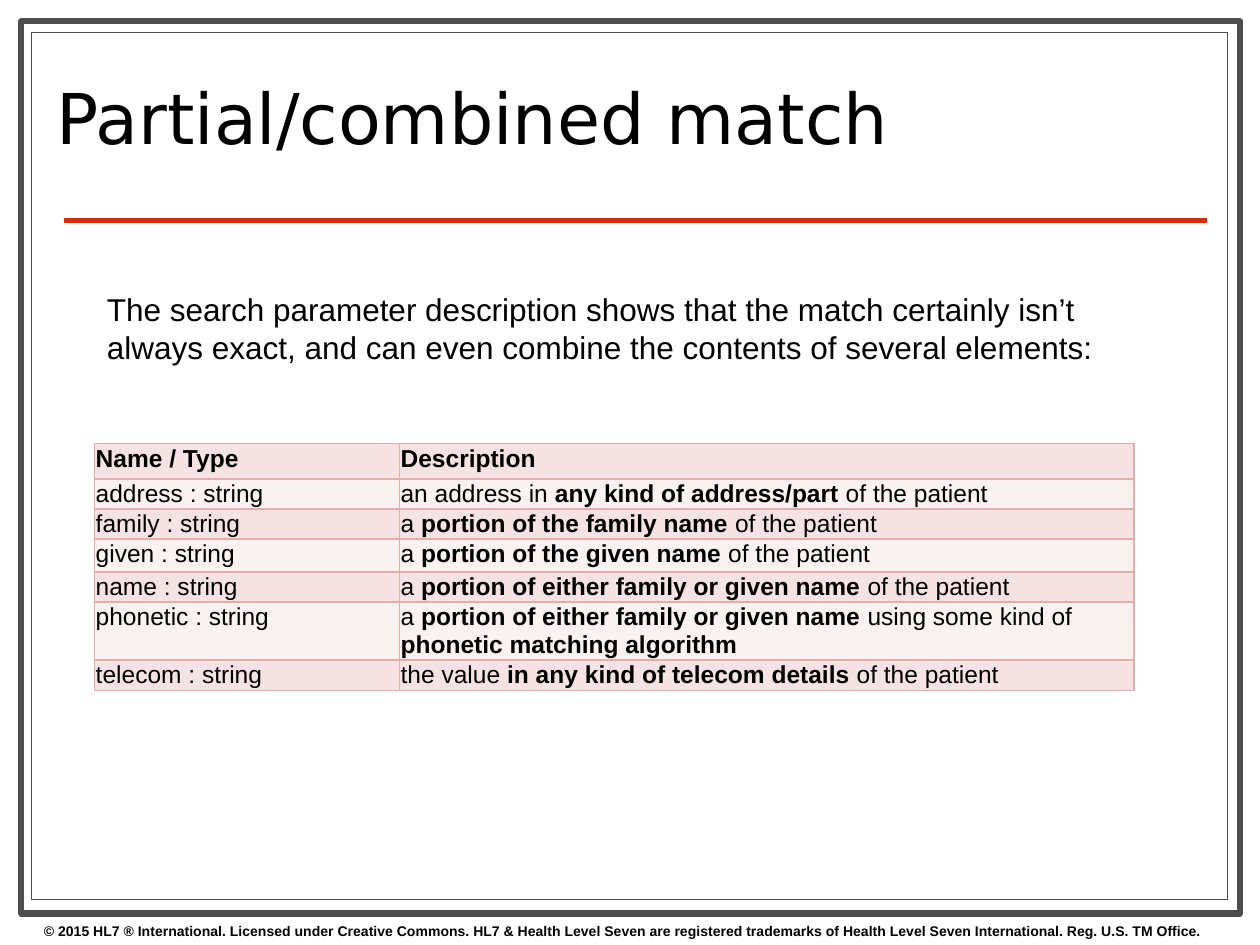
from dataclasses import dataclass

from lxml import etree
from pptx import Presentation
from pptx.dml.color import RGBColor
from pptx.enum.shapes import MSO_CONNECTOR, MSO_SHAPE
from pptx.enum.text import MSO_ANCHOR, MSO_AUTO_SIZE, PP_ALIGN
from pptx.oxml.ns import qn
from pptx.util import Inches, Pt

RECTANGLE = MSO_SHAPE.RECTANGLE
STRAIGHT = MSO_CONNECTOR.STRAIGHT
LEFT = PP_ALIGN.LEFT
TOP, MIDDLE = MSO_ANCHOR.TOP, MSO_ANCHOR.MIDDLE
GROW, FIXED = MSO_AUTO_SIZE.SHAPE_TO_FIT_TEXT, MSO_AUTO_SIZE.NONE

COLORS = {
    "paper": "FFFFFF",
    "ink": "000000",
    "frame": "4D4D4D",
    "accent": "CC3300",
    "grid": "E2ADAA",
    "band_dark": "F4E3E2",
    "band_light": "FAF1F1",
}
SLIDE_WIDTH, SLIDE_HEIGHT = 10, 7.5
TABLE_LEFT, TABLE_TOP = 0.75, 3.52
COLUMN_WIDTHS = (2.42, 5.83)
CELL_INSET = 0.01
BOLD_MARK = "**"
PATIENT = " of the patient"
COPYRIGHT = (
    "© 2015 HL7 ® International. Licensed under Creative Commons. "
    "HL7 & Health Level Seven are registered trademarks of "
    "Health Level Seven International. Reg. U.S. TM Office."
)
INTRODUCTION = (
    "The search parameter description shows that the match certainly isn’t "
    "always exact, and can even combine the contents of several elements:"
)


@dataclass(frozen=True)
class Box:
    left: float
    top: float
    width: float
    height: float

    def emu(self) -> tuple:
        return tuple(Inches(v) for v in (self.left, self.top, self.width, self.height))


@dataclass(frozen=True)
class Frame:
    box: Box
    weight: float


@dataclass(frozen=True)
class Parameter:
    name: str
    description: str
    height: float = 0.24


FRAMES = (
    Frame(Box(0.17, 0.17, 9.67, 7.08), 3.5),
    Frame(Box(0.25, 0.26, 9.49, 6.88), 0.75),
)
PARAMETERS = (
    Parameter("**Name / Type**", "**Description**", 0.28),
    Parameter("address : string", "an address in **any kind of address/part**" + PATIENT),
    Parameter("family : string", "a **portion of the family name**" + PATIENT),
    Parameter("given : string", "a **portion of the given name**" + PATIENT, 0.26),
    Parameter("name : string", "a **portion of either family or given name**" + PATIENT),
    Parameter(
        "phonetic : string",
        "a **portion of either family or given name** using some kind of "
        "**phonetic matching algorithm**",
        0.46,
    ),
    Parameter("telecom : string", "the value **in any kind of telecom details**" + PATIENT),
)


def rgb(key: str) -> RGBColor:
    return RGBColor.from_string(COLORS[key])


def write(text_frame, text: str, *, size: float, font: str = "Arial", spacing: float = 1.0) -> None:
    paragraph = text_frame.paragraphs[0]
    paragraph.alignment = LEFT
    paragraph.line_spacing = spacing
    for index, part in enumerate(text.split(BOLD_MARK)):
        if part:
            run = paragraph.add_run()
            run.text = part
            run.font.name = font
            run.font.size = Pt(size)
            run.font.bold = index % 2 == 1
            run.font.color.rgb = rgb("ink")


def add_text(slide, box: Box, text: str, size: float) -> None:
    text_frame = slide.shapes.add_textbox(*box.emu()).text_frame
    text_frame.word_wrap = True
    text_frame.auto_size = GROW
    write(text_frame, text, size=size)


def add_frame(slide, frame: Frame) -> None:
    border = slide.shapes.add_shape(RECTANGLE, *frame.box.emu())
    border.shadow.inherit = False
    border.fill.solid()
    border.fill.fore_color.rgb = rgb("paper")
    border.line.color.rgb = rgb("frame")
    border.line.width = Pt(frame.weight)


def add_rule(slide, left: float, right: float, height: float) -> None:
    rule = slide.shapes.add_connector(
        STRAIGHT, Inches(left), Inches(height), Inches(right), Inches(height)
    )
    rule.line.color.rgb = rgb("accent")
    rule.line.width = Pt(3)
    etree.SubElement(rule._element.spPr, qn("a:effectLst"))


def place_title(slide, box: Box, text: str) -> None:
    title = slide.shapes.title
    slide.shapes._spTree.append(title._element)
    title.left, title.top, title.width, title.height = box.emu()
    title.text_frame.word_wrap = True
    title.text_frame.auto_size = FIXED
    title.text_frame.vertical_anchor = MIDDLE
    write(title.text_frame, text, size=40, font="DejaVu Sans", spacing=0.8)


def outline_cell(cell) -> None:
    properties = cell._tc.get_or_add_tcPr()
    for position, side in enumerate(("lnL", "lnR", "lnT", "lnB")):
        edge = etree.Element(qn(f"a:{side}"), w=str(Pt(1)))
        fill = etree.SubElement(edge, qn("a:solidFill"))
        etree.SubElement(fill, qn("a:srgbClr"), val=COLORS["grid"])
        properties.insert(position, edge)


def fill_cell(cell, text: str, band: str) -> None:
    cell.margin_left = cell.margin_right = Inches(CELL_INSET)
    cell.margin_top = cell.margin_bottom = Inches(CELL_INSET)
    cell.vertical_anchor = TOP
    cell.fill.solid()
    cell.fill.fore_color.rgb = rgb(band)
    outline_cell(cell)
    write(cell.text_frame, text, size=14)


def add_parameters(slide, parameters: tuple[Parameter, ...]) -> None:
    box = Box(TABLE_LEFT, TABLE_TOP, sum(COLUMN_WIDTHS), sum(p.height for p in parameters))
    table = slide.shapes.add_table(len(parameters), len(COLUMN_WIDTHS), *box.emu()).table
    for column, width in zip(table.columns, COLUMN_WIDTHS):
        column.width = Inches(width)
    for index, parameter in enumerate(parameters):
        table.rows[index].height = Inches(parameter.height)
        band = "band_light" if index % 2 else "band_dark"
        for column, text in enumerate((parameter.name, parameter.description)):
            fill_cell(table.cell(index, column), text, band)


def main() -> None:
    presentation = Presentation()
    presentation.slide_width = Inches(SLIDE_WIDTH)
    presentation.slide_height = Inches(SLIDE_HEIGHT)
    slide = presentation.slides.add_slide(presentation.slide_layouts.get_by_name("Title Only"))
    slide.background.fill.solid()
    slide.background.fill.fore_color.rgb = rgb("paper")

    for frame in FRAMES:
        add_frame(slide, frame)
    add_rule(slide, 0.51, 9.58, 1.75)
    add_text(slide, Box(0.25, 7.27, SLIDE_WIDTH, 0.23), BOLD_MARK + COPYRIGHT, 8)
    place_title(slide, Box(0.35, 0.36, 7.17, 1.26), "Partial/combined match")
    add_parameters(slide, PARAMETERS)
    add_text(slide, Box(TABLE_LEFT, 2.25, 8.67, 0.71), INTRODUCTION, 18)
    presentation.save("out.pptx")


if __name__ == "__main__":
    main()
